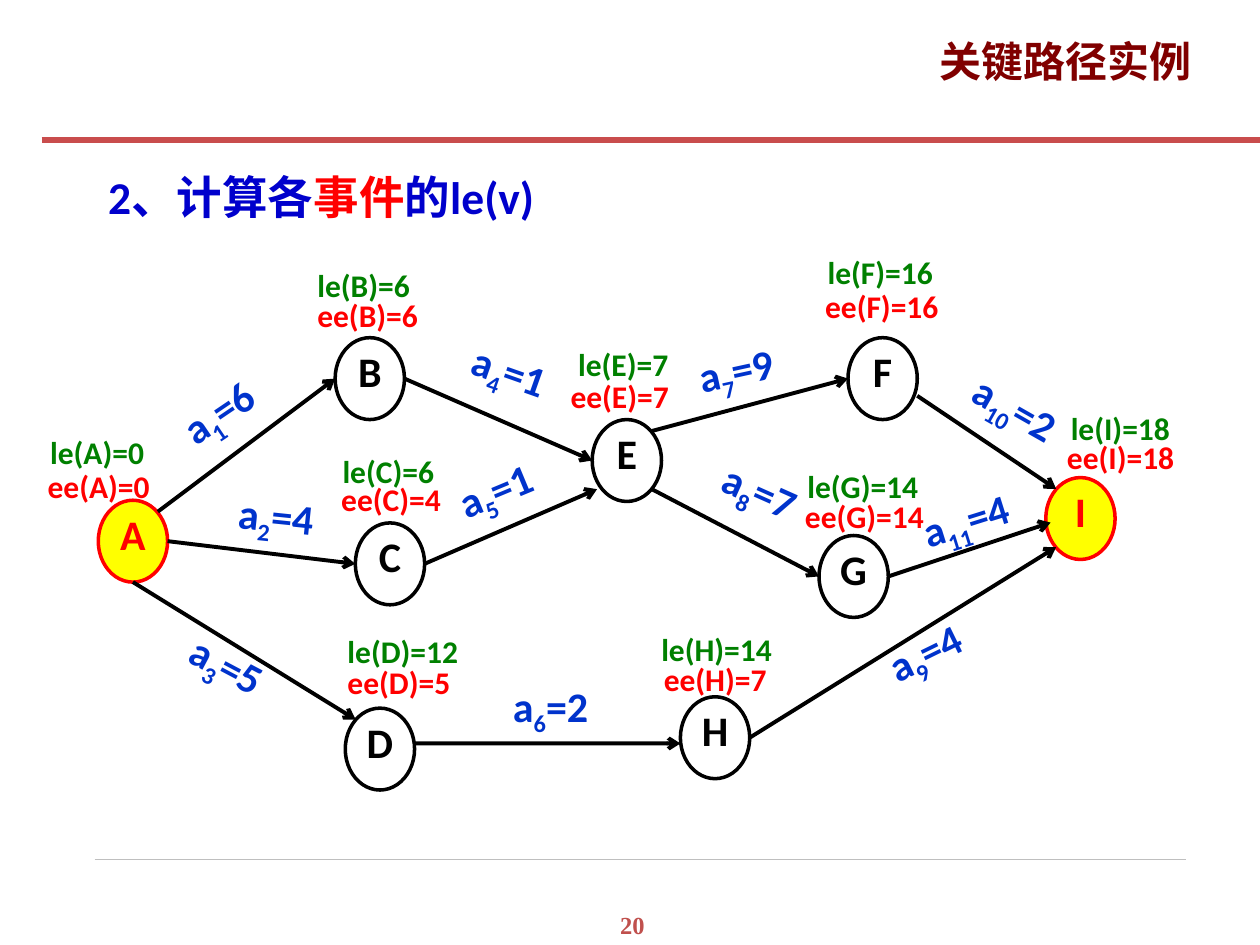
from lxml import etree
from pptx import Presentation
from pptx.dml.color import RGBColor
from pptx.enum.shapes import MSO_CONNECTOR, MSO_SHAPE
from pptx.enum.text import MSO_ANCHOR, MSO_AUTO_SIZE, PP_ALIGN
from pptx.oxml.ns import qn
from pptx.util import Inches, Pt

STRAIGHT = MSO_CONNECTOR.STRAIGHT
OVAL = MSO_SHAPE.OVAL
GROW, FIXED = MSO_AUTO_SIZE.SHAPE_TO_FIT_TEXT, MSO_AUTO_SIZE.NONE
TOP, MIDDLE = MSO_ANCHOR.TOP, MSO_ANCHOR.MIDDLE
LEFT, CENTER, JUSTIFY = PP_ALIGN.LEFT, PP_ALIGN.CENTER, PP_ALIGN.JUSTIFY

BLACK = RGBColor(0x00, 0x00, 0x00)
GRAY = RGBColor(0xBF, 0xBF, 0xBF)
RED = RGBColor(0xFF, 0x00, 0x00)
YELLOW = RGBColor(0xFF, 0xFF, 0x00)
GREEN = RGBColor(0x00, 0x80, 0x00)
BLUE = RGBColor(0x00, 0x33, 0xCC)
NAVY = RGBColor(0x00, 0x00, 0xCC)
MAROON = RGBColor(0x80, 0x00, 0x00)
ROSE = RGBColor(0xC9, 0x4D, 0x4D)
BRICK = RGBColor(0xC0, 0x50, 0x4D)

LATIN, CJK, SERIF = "Calibri", "Noto Sans CJK SC", "Times New Roman"
NODE_W, NODE_H = 0.55, 0.65
DIGIT_W, LE_TRIM, SLACK = 0.13, 0.06, 0.05

# name: node corner, label width, (ee, corner), (le, corner)
NODES = {
    "A": ((0.78, 2.97), 1.01, (0, 0.28, 2.57), (0, 0.30, 2.30)),
    "B": ((2.66, 1.68), 1.00, (6, 2.42, 1.21), (6, 2.42, 0.97)),
    "C": ((2.82, 3.15), 0.99, (4, 2.61, 2.67), (6, 2.62, 2.45)),
    "D": ((2.74, 4.62), 1.01, (5, 2.66, 4.12), (12, 2.66, 3.88)),
    "E": ((4.70, 2.33), 0.98, (7, 4.43, 1.85), (7, 4.49, 1.60)),
    "F": ((6.73, 1.68), 0.97, (16, 6.45, 1.14), (16, 6.47, 0.87)),
    "G": ((6.50, 3.25), 1.01, (14, 6.29, 2.81), (14, 6.31, 2.57)),
    "H": ((5.40, 4.53), 1.01, (7, 5.17, 4.10), (14, 5.15, 3.86)),
    "I": ((8.30, 2.79), 0.92, (18, 8.37, 2.34), (18, 8.40, 2.11)),
}
CRITICAL_ENDS = "AI"

W, E, S = (0, 0.5), (1, 0.5), (0.5, 1)
NW, NE, SW, SE = (0.15, 0.14), (0.86, 0.14), (0.15, 0.85), (0.86, 0.85)
EDGES = [
    ("A", NE, "B", W, 6, (1.12, 2.01, 1.25), -34.1),
    ("A", E, "C", W, 4, (1.68, 2.84, 1.02), 6),
    ("A", S, "D", NW, 5, (1.30, 4.02, 0.98), 27.9),
    ("B", E, "E", W, 1, (3.41, 1.69, 1.25), 19.4),
    ("C", E, "E", (0.07, 0.85), 1, (3.43, 2.63, 1.02), -22.6),
    ("D", (1, 0.43), "H", (0, 0.57), 2, (3.88, 4.35, 0.98), 0),
    ("E", NE, "F", W, 9, (5.22, 1.68, 1.25), -12.3),
    ("E", SE, "G", W, 7, (5.51, 2.64, 1.02), 24),
    ("H", E, "I", SW, 4, (6.86, 3.92, 0.98), -26.1),
    ("F", (1, 0.71), "I", NW, 2, (7.42, 1.98, 1.25), 29.6),
    ("G", E, "I", (0.07, 0.55), 4, (7.16, 2.87, 1.02), -17.4),
]


def style(r, size, color, font=LATIN):
    """Format one run in bold."""
    r.font.size, r.font.bold, r.font.name = Pt(size), True, font
    r.font.color.rgb = color
    ea = etree.SubElement(r._r.get_or_add_rPr(), qn("a:ea"))
    ea.set("typeface", CJK)


def add_text(s, box, parts, size, align=LEFT, wrap=True, font=LATIN):
    """Add a text box whose parts are (text, colour) runs."""
    tb = s.shapes.add_textbox(*map(Inches, box))
    tf = tb.text_frame
    tf.word_wrap, tf.auto_size = wrap, GROW
    p = tf.paragraphs[0]
    p.alignment = align
    for text, color in parts:
        r = p.add_run()
        r.text = text
        style(r, size, color, font)
    return tb


def add_line(s, start, end, color, width, arrow=False):
    """Draw a straight line, with an arrowhead at its end if asked."""
    c = s.shapes.add_connector(STRAIGHT, *map(Inches, (*start, *end)))
    c.line.color.rgb, c.line.width = color, Pt(width)
    if arrow:
        etree.SubElement(c.line._get_or_add_ln(), qn("a:tailEnd")).set("type", "arrow")
    etree.SubElement(c._element.spPr, qn("a:effectLst"))


def frame(s, w, h):
    """Draw the rules, the title and the page number."""
    add_line(s, (0.075 * w, 0.909 * h), (0.941 * w, 0.909 * h), GRAY, 0.25)
    add_line(s, (0.033 * w, 0.148 * h), (w, 0.148 * h), ROSE, 3.5)
    add_text(s, (0.477 * w, 0.956 * h, 0.05 * w, 0.34), [("20", BRICK)], 14, CENTER, font=SERIF)
    title = s.shapes.title
    title.left, title.top, title.width, title.height = map(Inches, (7.19, 0.23, 2.54, 0.69))
    tf = title.text_frame
    tf.text = "关键路径实例"
    tf.word_wrap, tf.vertical_anchor = False, TOP
    tf.auto_size = FIXED
    p = tf.paragraphs[0]
    p.alignment = CENTER
    style(p.runs[0], 24, MAROON, CJK)


def event(s, x, y, name):
    """Draw one event circle with its letter."""
    sp = s.shapes.add_shape(OVAL, *map(Inches, (x, y, NODE_W, NODE_H)))
    sp.shadow.inherit = False
    color = RED if name in CRITICAL_ENDS else BLACK
    if name in CRITICAL_ENDS:
        sp.fill.solid()
        sp.fill.fore_color.rgb = YELLOW
    else:
        sp.fill.background()
    sp.line.color.rgb, sp.line.width = color, Pt(2)
    tf = sp.text_frame
    tf.margin_left = tf.margin_right = tf.margin_top = tf.margin_bottom = 0
    tf.vertical_anchor = MIDDLE
    tf.text = name
    p = tf.paragraphs[0]
    p.alignment, p.line_spacing = CENTER, Pt(20)
    style(p.runs[0], 24, color)


def event_times(s, left, top, name, width, ee, le):
    """Write the earliest and latest time of one event."""
    for kind, (value, x, y), color, trim in (("ee", ee, RED, 0), ("le", le, GREEN, LE_TRIM)):
        w = width - trim + DIGIT_W * (len(str(value)) - 1) + SLACK
        tb = add_text(s, (left + x, top + y, w, 0.49), [(f"{kind}({name})={value}", color)],
                      18, JUSTIFY, False)
        tb.text_frame.paragraphs[0].line_spacing = Pt(28)


def activity(s, left, top, number, edge):
    """Draw one activity arrow and its weight."""
    a, port_a, b, port_b, weight, (x, y, w), angle = edge
    ends = [(left + NODES[n][0][0] + fx * NODE_W, top + NODES[n][0][1] + fy * NODE_H)
            for n, (fx, fy) in ((a, port_a), (b, port_b))]
    add_line(s, *ends, BLACK, 2.25, True)
    parts = [(text, BLUE) for text in ("a", str(number), f"={weight}")]
    tb = add_text(s, (left + x, top + y, w, 0.56), parts, 24, CENTER)
    tb.rotation = angle
    tb.text_frame.paragraphs[0].runs[1]._r.get_or_add_rPr().set("baseline", "-25000")


def network(s, left, top):
    """Draw the activity network from its top left corner."""
    for name, ((x, y), *_) in NODES.items():
        event(s, left + x, top + y, name)
    for number, edge in enumerate(EDGES, 1):
        activity(s, left, top, number, edge)
    for name, (_, width, ee, le) in NODES.items():
        event_times(s, left, top, name, width, ee, le)


def main():
    """Build and save the slide."""
    prs = Presentation()
    prs.slide_width, prs.slide_height = Inches(10), Inches(7.5)
    s = prs.slides.add_slide(prs.slide_layouts[5])
    frame(s, 10, 7.5)
    add_text(s, (0.76, 1.29, 3.9, 0.54),
             [("2、计算各", NAVY), ("事件", RED), ("的le(v)", NAVY)], 26, wrap=False)
    network(s, 0, 1)
    prs.save("out.pptx")


if __name__ == "__main__":
    main()
